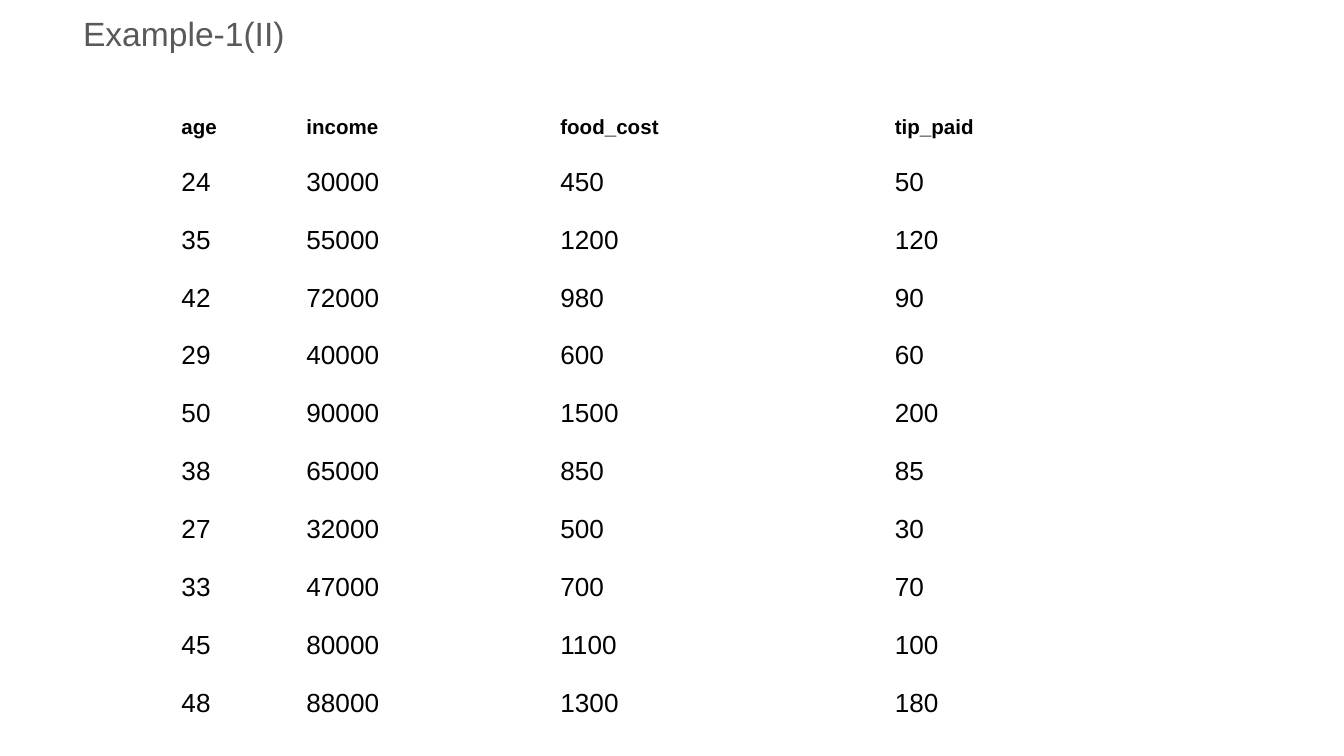
from dataclasses import dataclass

from pptx import Presentation
from pptx import util as u
from pptx.dml.color import RGBColor
from pptx.enum import text

COLORS = {"title": "595959", "body": "000000", "paper": "FFFFFF"}
FONT = "Arial"
INSET = u.Cm(0.25)


@dataclass(frozen=True)
class Style:
    size: int
    color: str
    bold: bool = False
    spacing: float = 1.0


@dataclass(frozen=True)
class Column:
    heading: str
    width: float
    values: tuple[int, ...]


TITLE = Style(18, "title")
HEADING = Style(11, "body", bold=True, spacing=1.15)
VALUE = Style(14, "body")

COLUMNS = (
    Column("age", 2.36, (24, 35, 42, 29, 50, 38, 27, 33, 45, 48)),
    Column("income", 4.8, (30000, 55000, 72000, 40000, 90000, 65000, 32000, 47000, 80000, 88000)),
    Column("food_cost", 6.32, (450, 1200, 980, 600, 1500, 850, 500, 700, 1100, 1300)),
    Column("tip_paid", 5.56, (50, 120, 90, 60, 200, 85, 30, 70, 100, 180)),
)


def write(frame, words: str, style: Style) -> None:
    paragraph = frame.paragraphs[0]
    paragraph.alignment = text.PP_ALIGN.LEFT
    paragraph.line_spacing = style.spacing
    run = paragraph.add_run()
    run.text = words
    run.font.name = FONT
    run.font.size = u.Pt(style.size)
    run.font.bold = style.bold
    run.font.color.rgb = RGBColor.from_string(COLORS[style.color])


def set_insets(holder) -> None:
    holder.margin_left = holder.margin_right = INSET
    holder.margin_top = holder.margin_bottom = INSET


def add_title(slide, words: str) -> None:
    title = slide.shapes.add_textbox(u.Cm(1.32), u.Cm(0), u.Cm(22.78), u.Cm(1.27)).text_frame
    title.word_wrap = True
    title.auto_size = text.MSO_AUTO_SIZE.SHAPE_TO_FIT_TEXT
    set_insets(title)
    write(title, words, TITLE)


def fill_cell(cell, words: str, style: Style) -> None:
    cell.fill.solid()
    cell.fill.fore_color.rgb = RGBColor.from_string(COLORS["paper"])
    set_insets(cell)
    write(cell.text_frame, words, style)


def add_tips_table(slide, columns: tuple[Column, ...]) -> None:
    row_count = len(columns[0].values) + 1
    total_width = sum(column.width for column in columns)
    tips = slide.shapes.add_table(
        row_count, len(columns), u.Cm(3.18), u.Cm(1.88), u.Cm(total_width), u.Cm(9.4)
    ).table
    tips.first_row = tips.horz_banding = False
    for index, row in enumerate(tips.rows):
        row.height = u.Cm(0.86 if index else 0.81)
    for index, column in enumerate(columns):
        tips.columns[index].width = u.Cm(column.width)
        fill_cell(tips.cell(0, index), column.heading, HEADING)
        for row_index, value in enumerate(column.values, start=1):
            fill_cell(tips.cell(row_index, index), str(value), VALUE)


def main() -> None:
    deck = Presentation()
    deck.slide_width, deck.slide_height = u.Cm(25.4), u.Cm(14.29)
    slide = deck.slides.add_slide(deck.slide_layouts[6])
    add_title(slide, "Example-1(II)")
    add_tips_table(slide, COLUMNS)
    deck.save("out.pptx")


if __name__ == "__main__":
    main()
